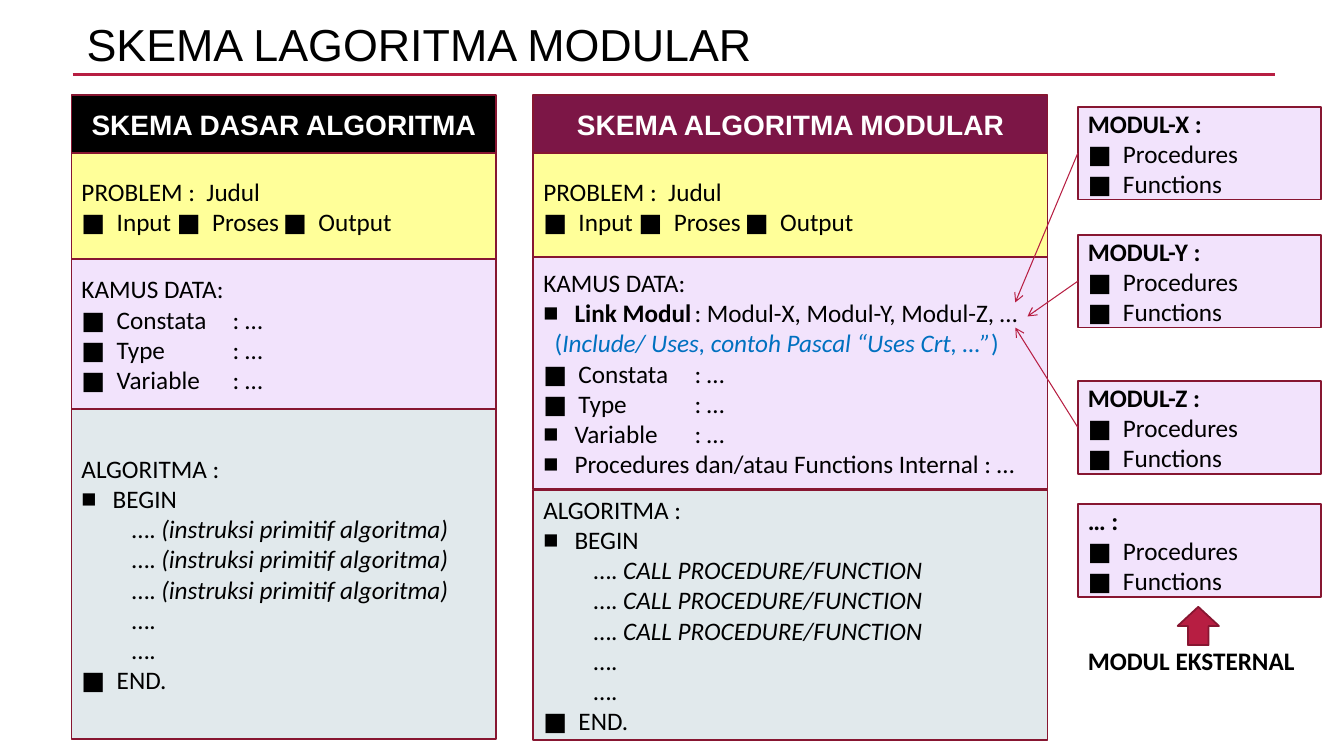
"""Build the slide comparing the basic and modular algorithm schemes."""
from dataclasses import dataclass

from lxml.etree import SubElement
from pptx import Presentation
from pptx.dml.color import RGBColor
from pptx.enum.shapes import MSO_CONNECTOR as CONN, MSO_SHAPE as SHAPE
from pptx.enum.text import MSO_ANCHOR as ANCHOR, PP_ALIGN as ALIGN
from pptx.oxml.ns import qn
from pptx.util import Inches, Pt


@dataclass(frozen=True)
class Theme:
    """Colours, fonts and sizes of the slide."""
    black: str = "000000"
    white: str = "FFFFFF"
    accent: str = "B71E42"
    border: str = "871631"
    wine: str = "7C1646"
    yellow: str = "FFFF99"
    lilac: str = "F2E3FC"
    gray: str = "E1E9EC"
    blue: str = "0070C0"
    head_font: str = "Arial"
    body_font: str = "Calibri"
    title_pt: float = 32
    head_pt: float = 20
    body_pt: float = 18
    border_pt: float = 1.25


T = Theme()


@dataclass(frozen=True)
class Run:
    """A stretch of text in one style."""
    text: str
    bold: bool = False
    italic: bool = False
    color: str = T.black
    font: str = T.body_font
    size: float = T.body_pt


@dataclass(frozen=True)
class Para:
    """A paragraph of runs, with an optional hanging bullet."""
    runs: tuple[Run, ...]
    bullet: bool = False
    align: ALIGN = ALIGN.LEFT
    spacing: float = 1.0


@dataclass(frozen=True)
class Box:
    """A place on the slide, in inches."""
    x: float
    y: float
    w: float
    h: float


@dataclass(frozen=True)
class Section:
    """One filled band of a scheme."""
    top: float
    bottom: float
    fill: str
    paras: list[Para]


@dataclass(frozen=True)
class Scheme:
    """A column of sections under a heading."""
    x: float
    w: float
    sections: list[Section]


@dataclass(frozen=True)
class Module:
    """An external module and the arrow tip it points to."""
    name: str
    y: float
    tip: tuple[float, float] | None = None


def line(text: str, bullet: bool = False, bold: bool = False) -> Para:
    """Return a body paragraph of a single run."""
    return Para((Run(text, bold),), bullet)


def heading(text: str) -> list[Para]:
    """Return the centred heading of a scheme."""
    run = Run(text, True, color=T.white, font=T.head_font, size=T.head_pt)
    return [Para((run,), align=ALIGN.CENTER)]


def algorithm(step: str) -> list[Para]:
    """Return the algorithm body that repeats one step."""
    steps = [Para((Run("\t…. "), Run(step, italic=True)))] * 3
    return [line("ALGORITMA :"), line("BEGIN", True), *steps,
            *[line("\t….")] * 2, line("■  END.")]


def write(s, paras: list[Para]) -> None:
    """Fill a shape with paragraphs, vertically centred."""
    tf = s.text_frame
    tf.word_wrap = True
    tf.vertical_anchor = ANCHOR.MIDDLE
    for i, para in enumerate(paras):
        p = tf.paragraphs[0] if i == 0 else tf.add_paragraph()
        p.alignment = para.align
        p.line_spacing = para.spacing
        ppr = p._p.get_or_add_pPr()
        ppr.set("defTabSz", str(Inches(0.5)))
        if para.bullet:
            ppr.set("marL", str(Inches(0.31)))
            ppr.set("indent", str(-Inches(0.31)))
            SubElement(ppr, qn("a:buFont"), typeface=T.head_font)
            SubElement(ppr, qn("a:buChar"), char="■")
        for run in para.runs:
            r = p.add_run()
            r.text = run.text
            r.font.name, r.font.size = run.font, Pt(run.size)
            r.font.bold, r.font.italic = run.bold, run.italic
            r.font.color.rgb = RGBColor.from_string(run.color)


def add_box(shapes, box: Box, fill: str, paras: list[Para], kind: SHAPE = SHAPE.RECTANGLE):
    """Add a filled, bordered shape with text."""
    s = shapes.add_shape(kind, Inches(box.x), Inches(box.y), Inches(box.w), Inches(box.h))
    s.shadow.inherit = False
    s.fill.solid()
    s.fill.fore_color.rgb = RGBColor.from_string(fill)
    s.line.color.rgb = RGBColor.from_string(T.border)
    s.line.width = Pt(T.border_pt)
    write(s, paras)
    return s


def add_text(shapes, box: Box, para: Para) -> None:
    """Add a text box holding one paragraph."""
    write(shapes.add_textbox(Inches(box.x), Inches(box.y), Inches(box.w), Inches(box.h)), [para])


def add_line(shapes, start: tuple[float, float], end: tuple[float, float], width: float,
             arrow: bool = False):
    """Add a straight accent line, optionally with an arrowhead."""
    s = shapes.add_connector(CONN.STRAIGHT, *map(Inches, start + end))
    s.line.color.rgb = RGBColor.from_string(T.accent)
    s.line.width = Pt(width)
    if arrow:
        SubElement(s.line._get_or_add_ln(), qn("a:tailEnd"), type="arrow")
    SubElement(s._element.spPr, qn("a:effectLst"))
    return s


PROBLEM = [line("PROBLEM :  Judul"), line("■  Input ■  Proses\t■  Output")]
CONSTANT, TYPE = line("■  Constata\t: …"), line("■  Type\t\t: …")
BASIC_DATA = [line("KAMUS DATA:"), CONSTANT, TYPE, line("■  Variable\t: …")]
MODULAR_DATA = [
    line("KAMUS DATA:"),
    Para((Run("Link Modul\t", True), Run(": Modul-X, Modul-Y, Modul-Z, …")), True),
    Para((Run("  "), Run("(", color=T.blue),
          Run("Include/ Uses, contoh Pascal “Uses Crt, …”", italic=True, color=T.blue),
          Run(")", color=T.blue))),
    CONSTANT, TYPE, line("Variable\t: …", True),
    line("Procedures dan/atau Functions Internal : …", True),
]
SCHEMES = [
    Scheme(0.71, 4.21, [
        Section(1.52, 2.57, T.yellow, PROBLEM),
        Section(2.57, 4.06, T.lilac, BASIC_DATA),
        Section(4.06, 7.33, T.gray, algorithm("(instruksi primitif algoritma)")),
        Section(0.94, 1.52, T.black, heading("SKEMA DASAR ALGORITMA"))]),
    Scheme(5.29, 5.1, [
        Section(1.52, 2.57, T.yellow, PROBLEM),
        Section(2.55, 4.85, T.lilac, MODULAR_DATA),
        Section(4.86, 7.34, T.gray, algorithm("CALL PROCEDURE/FUNCTION")),
        Section(0.94, 1.52, T.wine, heading("SKEMA ALGORITMA MODULAR"))]),
]
MODULES = [Module("MODUL-X :", 1.06, (10.07, 3)), Module("MODUL-Y :", 2.33, (10.19, 3.14)),
           Module("MODUL-Z :", 3.78, (10.07, 3.25)), Module("… :", 5)]
MODULE_X, MODULE_W, MODULE_H = 10.69, 2.41, 0.92


def main() -> None:
    """Draw the slide and save it."""
    prs = Presentation()
    prs.slide_width, prs.slide_height = Inches(13.33), Inches(7.5)
    shapes = prs.slides.add_slide(prs.slide_layouts[6]).shapes
    add_line(shapes, (0.72, 0.74), (12.65, 0.74), 2.5)
    title = Run("SKEMA LAGORITMA MODULAR", font=T.head_font, size=T.title_pt)
    add_text(shapes, Box(0.76, 0.12, 11.89, 0.69), Para((title,), spacing=0.9))
    for scheme in SCHEMES:
        for sec in scheme.sections:
            box = Box(scheme.x, sec.top, scheme.w, sec.bottom - sec.top)
            add_box(shapes, box, sec.fill, sec.paras)
    for mod in MODULES:
        paras = [line(mod.name, bold=True), line("■  Procedures"), line("■  Functions")]
        s = add_box(shapes, Box(MODULE_X, mod.y, MODULE_W, MODULE_H), T.lilac, paras)
        if mod.tip:
            start = (MODULE_X, mod.y + MODULE_H / 2)
            add_line(shapes, start, mod.tip, 0.75, True).begin_connect(s, 1)
    add_text(shapes, Box(MODULE_X, 6.21, MODULE_W, 0.68), line("MODUL EKSTERNAL", bold=True))
    add_box(shapes, Box(11.68, 6.02, 0.41, 0.38), T.accent, [], SHAPE.UP_ARROW)
    prs.save("out.pptx")


if __name__ == "__main__":
    main()
